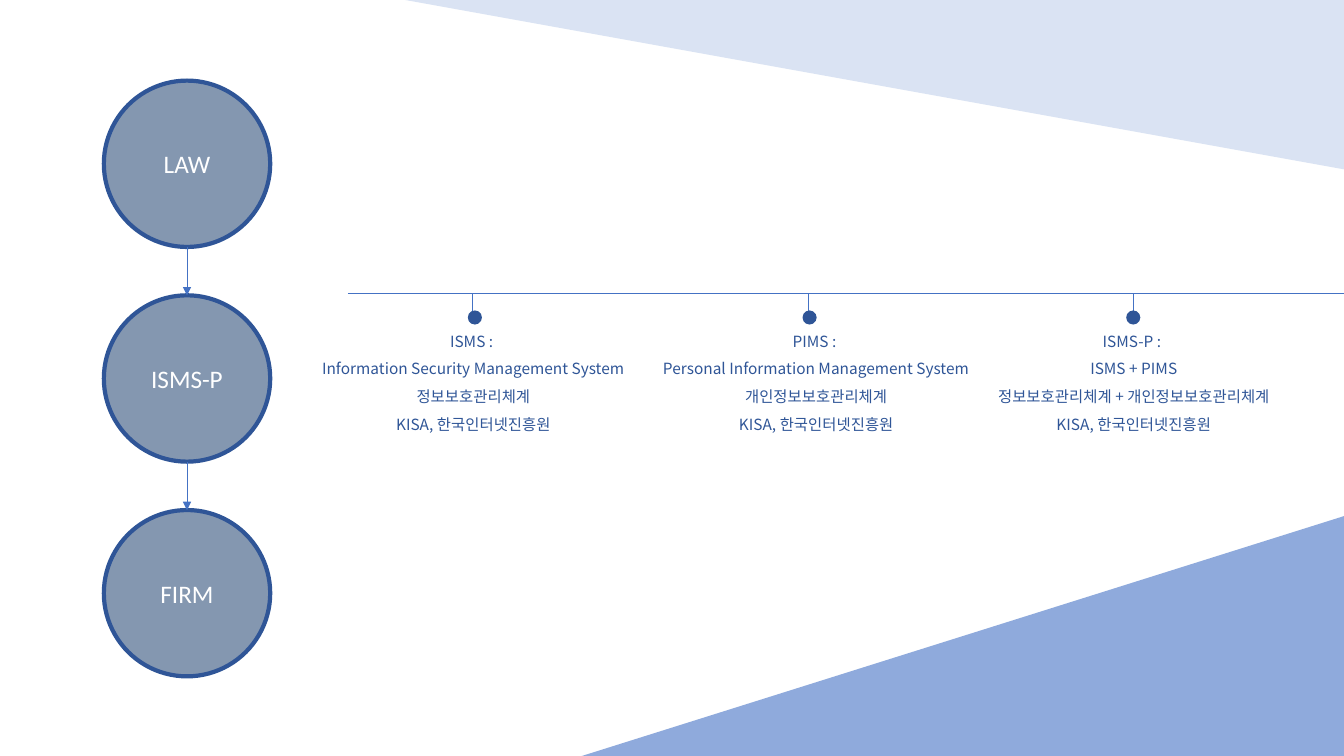
from dataclasses import dataclass

from lxml import etree
from pptx import Presentation
from pptx.dml.color import RGBColor
from pptx.enum.shapes import MSO_CONNECTOR, MSO_SHAPE
from pptx.enum.text import MSO_ANCHOR, PP_ALIGN
from pptx.oxml.ns import qn
from pptx.util import Inches, Pt

STRAIGHT = MSO_CONNECTOR.STRAIGHT
OVAL = MSO_SHAPE.OVAL
CENTER = PP_ALIGN.CENTER
MIDDLE = MSO_ANCHOR.MIDDLE

COLORS = {
    "navy": "2F5597",
    "slate": "8497B0",
    "line": "4472C4",
    "pale": "DAE3F3",
    "sky": "8FAADC",
    "white": "FFFFFF",
}
LATIN_FONT = "Calibri"
KOREAN_FONT = "Noto Sans CJK KR"

SLIDE_WIDTH, SLIDE_HEIGHT = 13.33, 7.5
STAGE_LEFT, STAGE_TOP, STAGE_SIZE, STAGE_PITCH = 1.03, 0.8, 1.65, 2.13
TIMELINE_LEFT, TIMELINE_TOP = 3.45, 2.91
DOT_SIZE, DOT_TOP = 0.14, 3.08
TEXT_TOP, TEXT_WIDTH, TEXT_HEIGHT = 3.15, 4.19, 1.2
AGENCY = "KISA, 한국인터넷진흥원"


@dataclass
class Certification:
    name: str
    english: str
    korean: str
    stem_x: float
    dot_left: float
    text_left: float


@dataclass
class Corner:
    points: list[tuple[float, float]]
    color: str


STAGES = ["LAW", "ISMS-P", "FIRM"]
CERTIFICATIONS = [
    Certification("ISMS", "Information Security Management System",
                  "정보보호관리체계", 4.69, 4.64, 2.6),
    Certification("PIMS", "Personal Information Management System",
                  "개인정보보호관리체계", 8.02, 7.96, 6.0),
    Certification("ISMS-P", "ISMS + PIMS",
                  "정보보호관리체계 + 개인정보보호관리체계", 11.24, 11.17, 9.15),
]
CORNERS = [
    Corner([(4.02, 0), (SLIDE_WIDTH, 0), (SLIDE_WIDTH, 1.68)], "pale"),
    Corner([(5.77, SLIDE_HEIGHT), (SLIDE_WIDTH, 5.12), (SLIDE_WIDTH, SLIDE_HEIGHT)], "sky"),
]


def rgb(name: str) -> RGBColor:
    return RGBColor.from_string(COLORS[name])


def style_run(run, size: float, font: str, color: str, bold: bool = False) -> None:
    run.font.size = Pt(size)
    run.font.name = font
    run.font.bold = bold
    run.font.color.rgb = rgb(color)
    east_asian = etree.Element(qn("a:ea"), typeface=font)
    run.font._element.find(qn("a:latin")).addnext(east_asian)


def fill_plain(shape, color: str) -> None:
    shape.shadow.inherit = False
    shape.fill.solid()
    shape.fill.fore_color.rgb = rgb(color)
    shape.line.fill.background()


def add_circle(slide, left: float, top: float, size: float, color: str):
    circle = slide.shapes.add_shape(
        OVAL, Inches(left), Inches(top), Inches(size), Inches(size))
    fill_plain(circle, color)
    return circle


def add_line(slide, start: tuple[float, float], end: tuple[float, float],
             arrow: bool = False) -> None:
    connector = slide.shapes.add_connector(
        STRAIGHT, *(Inches(value) for value in start + end))
    connector.line.color.rgb = rgb("line")
    connector.line.width = Pt(0.5)
    if arrow:
        etree.SubElement(connector.line._get_or_add_ln(), qn("a:tailEnd"), type="triangle")
    etree.SubElement(connector._element.spPr, qn("a:effectLst"))


def add_stage(slide, label: str, top: float) -> None:
    circle = add_circle(slide, STAGE_LEFT, top, STAGE_SIZE, "slate")
    circle.line.color.rgb = rgb("navy")
    circle.line.width = Pt(3)
    text_frame = circle.text_frame
    text_frame.text = label
    text_frame.vertical_anchor = MIDDLE
    paragraph = text_frame.paragraphs[0]
    paragraph.alignment = CENTER
    style_run(paragraph.runs[0], 18, LATIN_FONT, "white")


def add_certification(slide, certification: Certification) -> None:
    text_box = slide.shapes.add_textbox(
        Inches(certification.text_left), Inches(TEXT_TOP),
        Inches(TEXT_WIDTH), Inches(TEXT_HEIGHT))
    text_frame = text_box.text_frame
    text_frame.word_wrap = True
    text_frame.text = "\n".join(
        [certification.name, certification.english, certification.korean, AGENCY])
    heading = text_frame.paragraphs[0]
    heading.add_run().text = " : "
    for paragraph in text_frame.paragraphs:
        paragraph.alignment = CENTER
        paragraph.line_spacing = 1.5
        for run in paragraph.runs:
            is_name = paragraph is heading and run.text == certification.name
            style_run(run, 12 if is_name else 11, KOREAN_FONT, "navy", is_name)
    add_line(slide, (certification.stem_x, TIMELINE_TOP), (certification.stem_x, TEXT_TOP))
    add_circle(slide, certification.dot_left, DOT_TOP, DOT_SIZE, "navy")


def add_corner(slide, corner: Corner) -> None:
    points = [(Inches(x), Inches(y)) for x, y in corner.points]
    builder = slide.shapes.build_freeform(*points[0])
    builder.add_line_segments(points[1:], close=True)
    fill_plain(builder.convert_to_shape(), corner.color)


presentation = Presentation()
presentation.slide_width = Inches(SLIDE_WIDTH)
presentation.slide_height = Inches(SLIDE_HEIGHT)
slide = presentation.slides.add_slide(presentation.slide_layouts[6])

stage_center = STAGE_LEFT + STAGE_SIZE / 2
for index, label in enumerate(STAGES):
    stage_top = STAGE_TOP + index * STAGE_PITCH
    add_stage(slide, label, stage_top)
    if index:
        previous_bottom = stage_top - STAGE_PITCH + STAGE_SIZE
        add_line(slide, (stage_center, previous_bottom), (stage_center, stage_top), arrow=True)

add_line(slide, (TIMELINE_LEFT, TIMELINE_TOP), (SLIDE_WIDTH, TIMELINE_TOP))
for certification in CERTIFICATIONS:
    add_certification(slide, certification)
for corner in CORNERS:
    add_corner(slide, corner)

presentation.save("out.pptx")
